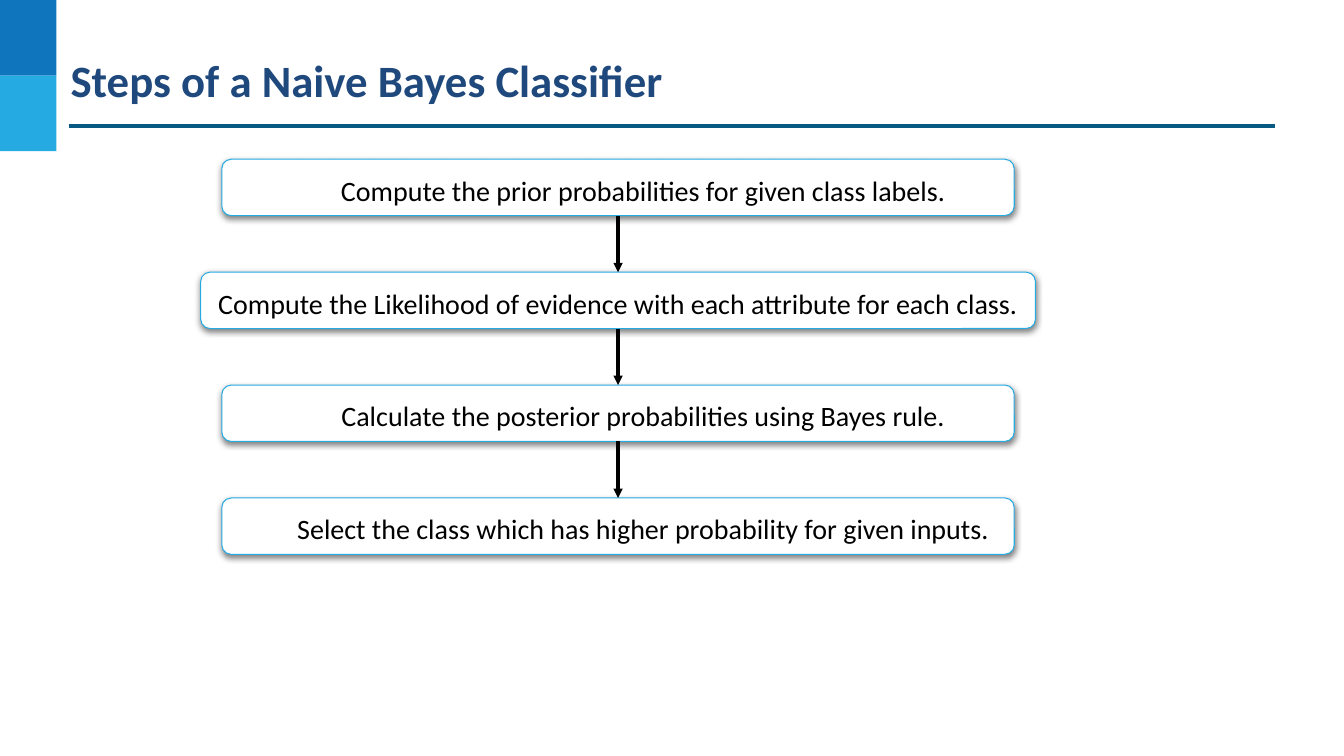
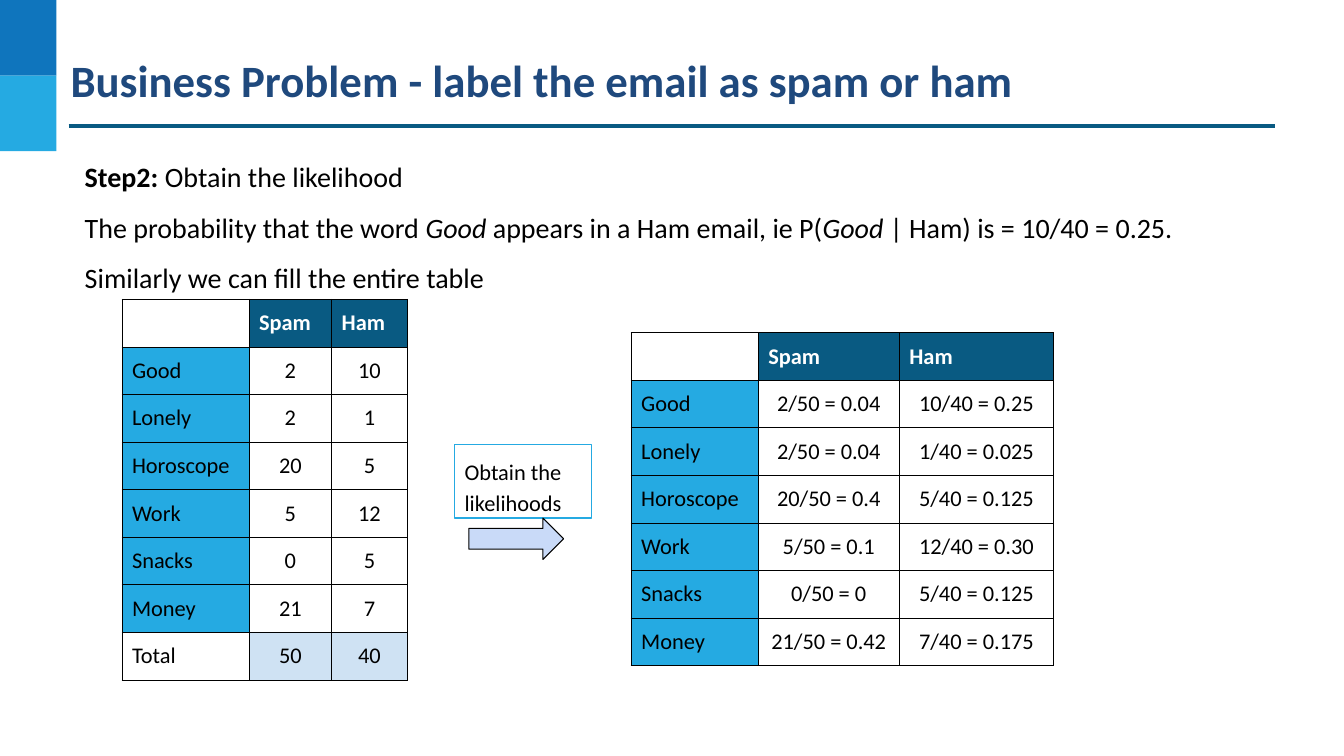
from dataclasses import dataclass
from typing import NamedTuple, Optional

from lxml.etree import SubElement
from pptx import Presentation
from pptx.dml.color import RGBColor
from pptx.enum.shapes import MSO_CONNECTOR, MSO_SHAPE
from pptx.enum.text import MSO_ANCHOR, MSO_AUTO_SIZE, PP_ALIGN
from pptx.oxml.ns import qn
from pptx.presentation import Presentation as Deck
from pptx.shapes.autoshape import Shape
from pptx.shapes.connector import Connector
from pptx.slide import Slide
from pptx.text.text import TextFrame, _Paragraph as Paragraph
from pptx.util import Emu, Pt

TITLE_ONLY, TITLE_AND_CONTENT = 5, 1
EMU_PER_PX = 9144  # 100 px to the inch


@dataclass(frozen=True)
class Theme:
    font: str = "Calibri"
    title_size: int = 32
    body_size: int = 20
    table_size: int = 16
    thin: float = 0.75
    thick: float = 2.25
    inset: int = 10
    title: str = "1F497D"
    band: str = "0F75BD"
    accent: str = "25AAE2"
    rule: str = "095A82"
    total: str = "CFE2F3"
    arrow: str = "C9DAF8"
    text: str = "000000"
    paper: str = "FFFFFF"


THEME = Theme()


class Box(NamedTuple):
    left: int
    top: int
    width: int
    height: int


class Run(NamedTuple):
    text: str
    bold: bool = False
    italic: bool = False


class Step(NamedTuple):
    text: str
    width: int = 786
    indent: int = 50


class WordTable(NamedTuple):
    left: int
    top: int
    columns: tuple[int, ...]
    rows: tuple[tuple[str, ...], ...]


STEPS = (
    Step("Compute the prior probabilities for given class labels."),
    Step("Compute the Likelihood of evidence with each attribute for each class.", 828, 0),
    Step("Calculate the posterior probabilities using Bayes rule."),
    Step("Select the class which has higher probability for given inputs."),
)
FLOW_CENTER, FLOW_TOP, STEP_HEIGHT, STEP_PITCH = 613, 158, 56, 112

EXPLANATION = (
    (Run("Step2: ", bold=True), Run("Obtain the likelihood")),
    (
        Run("The probability that the word "),
        Run("Good", italic=True),
        Run(" appears in a Ham email, ie P("),
        Run("Good", italic=True),
        Run(" | Ham) is = 10/40 = 0.25."),
    ),
    (Run("Similarly we can fill the entire table"),),
)
HEADER = ("", "Spam", "Ham")
TOTAL_LABEL = "Total"
ROW_HEIGHT = 47
COUNTS = WordTable(121, 297, (126, 82, 75), (
    HEADER,
    ("Good", "2", "10"),
    ("Lonely", "2", "1"),
    ("Horoscope", "20", "5"),
    ("Work", "5", "12"),
    ("Snacks", "0", "5"),
    ("Money", "21", "7"),
    (TOTAL_LABEL, "50", "40"),
))
LIKELIHOODS = WordTable(626, 330, (126, 140, 153), (
    HEADER,
    ("Good", "2/50 = 0.04", "10/40 = 0.25"),
    ("Lonely", "2/50 = 0.04", "1/40 = 0.025"),
    ("Horoscope", "20/50 = 0.4", "5/40 = 0.125"),
    ("Work", "5/50 = 0.1", "12/40 = 0.30"),
    ("Snacks", "0/50 = 0", "5/40 = 0.125"),
    ("Money", "21/50 = 0.42", "7/40 = 0.175"),
))


def px(length: int) -> Emu:
    return Emu(length * EMU_PER_PX)


def rgb(color: str) -> RGBColor:
    return RGBColor.from_string(color)


def place(shape: Shape, box: Box) -> None:
    shape.left, shape.top, shape.width, shape.height = map(px, box)


def set_insets(target, inset: int) -> None:
    """Give a text frame or table cell the same margin on all sides."""
    target.margin_left = target.margin_right = px(inset)
    target.margin_top = target.margin_bottom = px(inset)


def prepare_frame(frame: TextFrame, inset: int, anchor: MSO_ANCHOR = MSO_ANCHOR.TOP) -> None:
    frame.word_wrap = True
    frame.auto_size = MSO_AUTO_SIZE.NONE
    frame.vertical_anchor = anchor
    set_insets(frame, inset)


def add_runs(paragraph: Paragraph, runs: tuple[Run, ...], size: int,
             color: str = THEME.text, align: PP_ALIGN = PP_ALIGN.LEFT) -> None:
    paragraph.alignment = align
    for part in runs:
        run = paragraph.add_run()
        run.text = part.text
        font = run.font
        font.name, font.size = THEME.font, Pt(size)
        font.bold, font.italic = part.bold, part.italic
        font.color.rgb = rgb(color)


def add_block(slide: Slide, kind: MSO_SHAPE, box: Box,
              fill: Optional[str] = None, line: Optional[str] = None) -> Shape:
    block = slide.shapes.add_shape(kind, *map(px, box))
    block.shadow.inherit = False
    if fill:
        block.fill.solid()
        block.fill.fore_color.rgb = rgb(fill)
    else:
        block.fill.background()
    if line:
        block.line.color.rgb = rgb(line)
        block.line.width = Pt(THEME.thin)
    else:
        block.line.fill.background()
    return block


def add_line(slide: Slide, start: tuple[int, int], end: tuple[int, int],
             color: str, arrow: bool = False) -> Connector:
    line = slide.shapes.add_connector(MSO_CONNECTOR.STRAIGHT, *map(px, start + end))
    line.line.color.rgb = rgb(color)
    line.line.width = Pt(THEME.thick)
    properties = line.element.spPr
    if arrow:
        SubElement(properties.find(qn("a:ln")), qn("a:tailEnd"), type="triangle")
    SubElement(properties, qn("a:effectLst"))
    return line


def add_soft_shadow(shape: Shape) -> None:
    effects = shape.element.spPr.find(qn("a:effectLst"))
    shadow = SubElement(effects, qn("a:outerShdw"), blurRad=str(Pt(4.5)), dist=str(Pt(1.5)),
                        dir="5400000", algn="bl", rotWithShape="0")
    color = SubElement(shadow, qn("a:srgbClr"), val=THEME.text)
    SubElement(color, qn("a:alpha"), val="49000")


def add_titled_slide(deck: Deck, layout: int, title: str) -> Slide:
    slide = deck.slides.add_slide(deck.slide_layouts[layout])
    heading = slide.shapes.title
    place(heading, Box(68, 50, 1229, 83))
    prepare_frame(heading.text_frame, 2)
    add_runs(heading.text_frame.paragraphs[0], (Run(title, bold=True),),
             THEME.title_size, THEME.title)
    return slide


def decorate_master(deck: Deck, slide: Slide) -> None:
    """Draw the bands and title rule on a slide, then move them to the master."""
    ornaments = (
        add_block(slide, MSO_SHAPE.RECTANGLE, Box(0, 0, 56, 75), THEME.band),
        add_block(slide, MSO_SHAPE.RECTANGLE, Box(0, 75, 56, 75), THEME.accent),
        add_line(slide, (68, 125), (1265, 125), THEME.rule),
    )
    for ornament in ornaments:
        deck.slide_master.shapes.element.append(ornament.element)


def add_step(slide: Slide, step: Step, top: int) -> None:
    left = FLOW_CENTER - step.width // 2
    card = add_block(slide, MSO_SHAPE.ROUNDED_RECTANGLE,
                     Box(left, top, step.width, STEP_HEIGHT), THEME.paper, THEME.accent)
    add_soft_shadow(card)
    prepare_frame(card.text_frame, THEME.inset, MSO_ANCHOR.MIDDLE)
    paragraph = card.text_frame.paragraphs[0]
    paragraph.line_spacing = 1.15
    paragraph.space_after = Pt(10)
    properties = paragraph._p.get_or_add_pPr()
    properties.set("marL", str(px(step.indent)))
    properties.set("indent", "0")
    add_runs(paragraph, (Run(step.text),), THEME.body_size, align=PP_ALIGN.CENTER)


def add_explanation(slide: Slide) -> None:
    body = slide.placeholders[1]
    place(body, Box(74, 132, 1144, 155))
    frame = body.text_frame
    prepare_frame(frame, THEME.inset)
    for index, runs in enumerate(EXPLANATION):
        paragraph = frame.add_paragraph() if index else frame.paragraphs[0]
        properties = paragraph._p.get_or_add_pPr()
        properties.set("marL", "0")
        properties.set("indent", "0")
        SubElement(properties, qn("a:buNone"))
        paragraph.line_spacing = 1.5
        paragraph.space_before = paragraph.space_after = Pt(0)
        add_runs(paragraph, runs, THEME.body_size)


def cell_fill(row: int, column: int, label: str) -> str:
    if row == 0:
        return THEME.rule if column else THEME.paper
    if label == TOTAL_LABEL:
        return THEME.total if column else THEME.paper
    return THEME.paper if column else THEME.accent


def add_cell_borders(table_element) -> None:
    for cell_element in table_element.iter(qn("a:tc")):
        properties = cell_element.get_or_add_tcPr()
        for side in ("a:lnL", "a:lnR", "a:lnT", "a:lnB"):
            border = SubElement(properties, qn(side), w=str(Pt(THEME.thin)))
            ink = SubElement(border, qn("a:solidFill"))
            SubElement(ink, qn("a:srgbClr"), val=THEME.text)


def add_word_table(slide: Slide, words: WordTable) -> None:
    count = len(words.rows)
    box = Box(words.left, words.top, sum(words.columns), count * ROW_HEIGHT)
    holder = slide.shapes.add_table(count, len(words.columns), *map(px, box))
    table = holder.table
    table.first_row = table.horz_banding = False
    add_cell_borders(holder.element)
    for column, width in zip(table.columns, words.columns):
        column.width = px(width)
    for r, entries in enumerate(words.rows):
        table.rows[r].height = px(ROW_HEIGHT)
        for c, entry in enumerate(entries):
            cell = table.cell(r, c)
            cell.fill.solid()
            cell.fill.fore_color.rgb = rgb(cell_fill(r, c, entries[0]))
            if entry:
                set_insets(cell, THEME.inset)
                add_runs(cell.text_frame.paragraphs[0], (Run(entry, bold=r == 0),),
                         THEME.table_size, THEME.text if r else THEME.paper,
                         PP_ALIGN.CENTER if r and c else PP_ALIGN.LEFT)


def add_likelihood_pointer(slide: Slide) -> None:
    label = add_block(slide, MSO_SHAPE.RECTANGLE, Box(451, 441, 136, 73), line=THEME.accent)
    prepare_frame(label.text_frame, THEME.inset)
    paragraph = label.text_frame.paragraphs[0]
    paragraph.line_spacing = 1.15
    add_runs(paragraph, (Run("Obtain the likelihoods"),), THEME.table_size)
    add_block(slide, MSO_SHAPE.RIGHT_ARROW, Box(465, 514, 94, 41), THEME.arrow, THEME.text)


def main() -> None:
    deck = Presentation()
    deck.slide_width, deck.slide_height = px(1333), px(750)

    steps = add_titled_slide(deck, TITLE_ONLY, "Steps of a Naive Bayes Classifier")
    decorate_master(deck, steps)
    for index, step in enumerate(STEPS):
        top = FLOW_TOP + index * STEP_PITCH
        add_step(steps, step, top)
        if index:
            gap_top = top - STEP_PITCH + STEP_HEIGHT
            add_line(steps, (FLOW_CENTER, gap_top), (FLOW_CENTER, top), THEME.text, arrow=True)

    problem = add_titled_slide(deck, TITLE_AND_CONTENT,
                               "Business Problem - label the email as spam or ham")
    add_explanation(problem)
    for words in (COUNTS, LIKELIHOODS):
        add_word_table(problem, words)
    add_likelihood_pointer(problem)
    deck.save("out.pptx")


if __name__ == "__main__":
    main()
